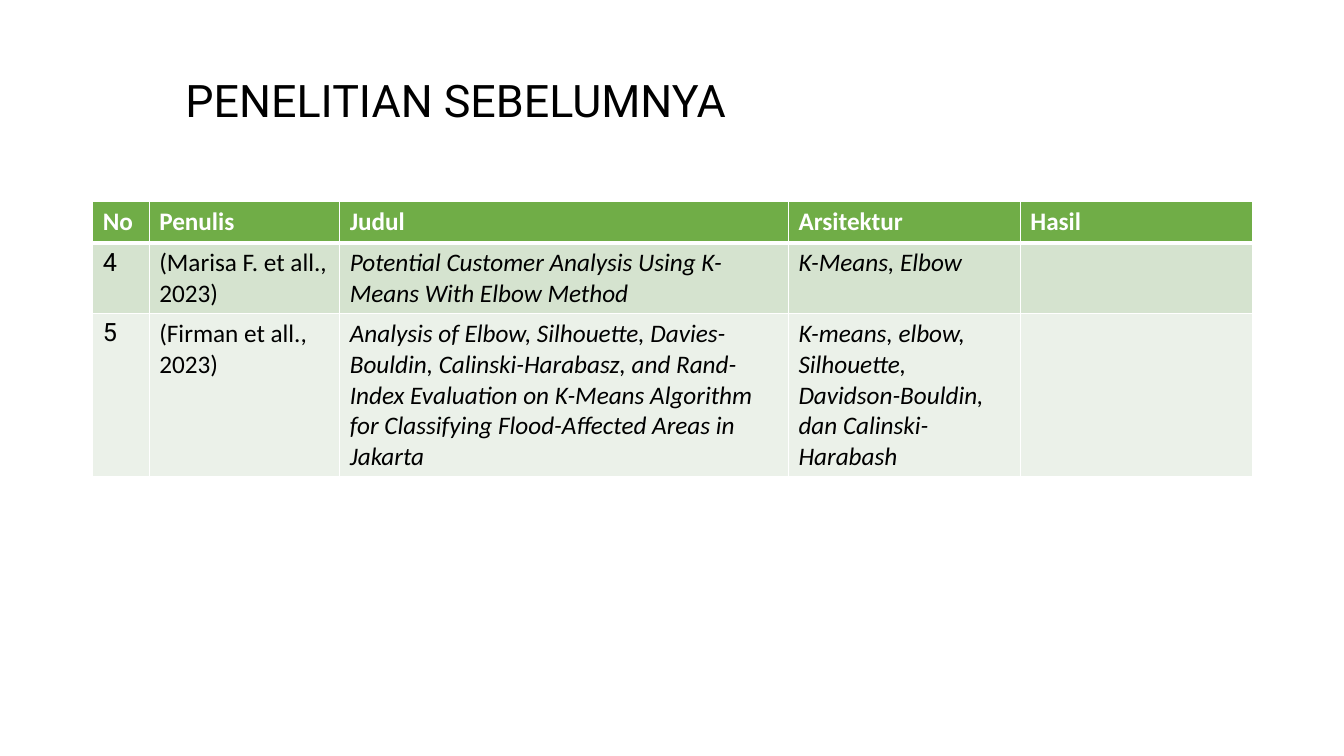
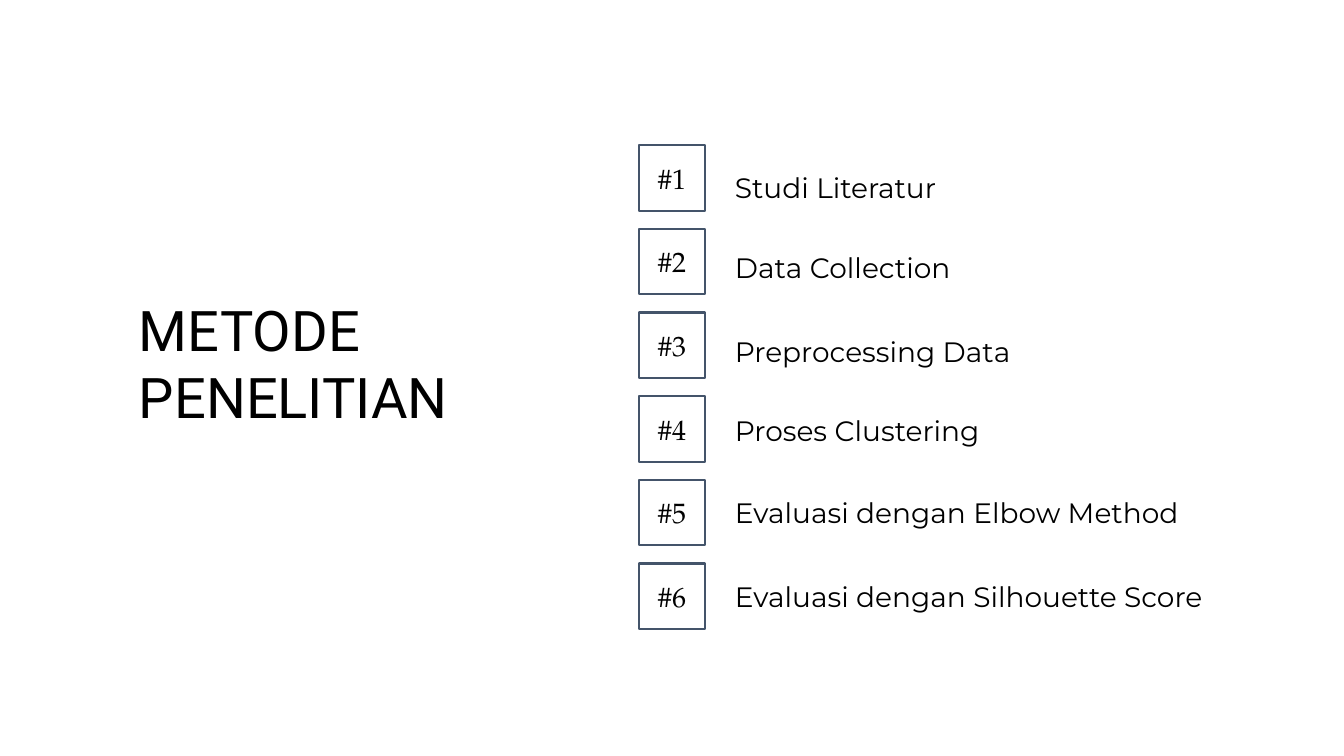
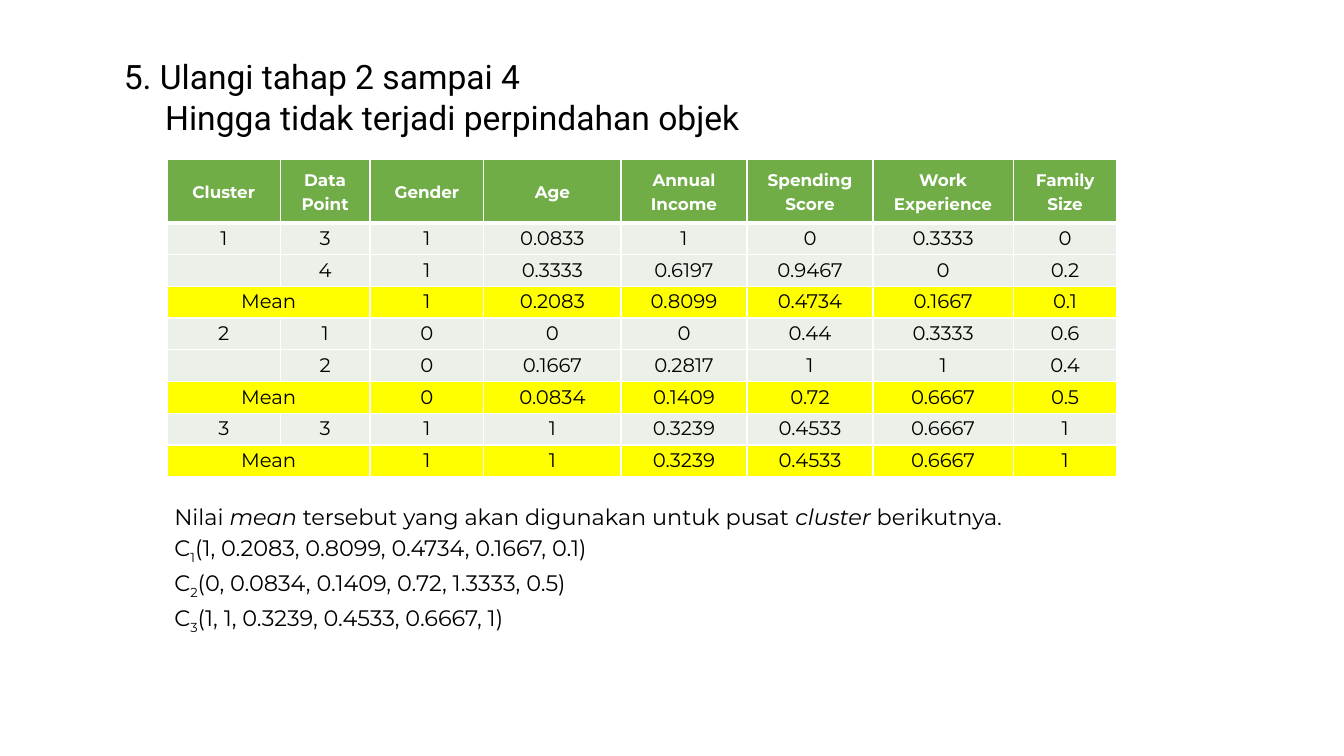
"""Build three slides on earlier research, research method and cluster means."""
from lxml import etree
from pptx import Presentation
from pptx import util as u
from pptx.dml.color import RGBColor
from pptx.enum import shapes, text
from pptx.oxml.ns import qn

BLACK, WHITE, GREEN, NAVY = "000000", "FFFFFF", "70AD47", "44546A"
SAGE, PALE, YELLOW = "D5E3CF", "EBF1E9", "FFFF00"
TITLE_FONT, BODY_FONT, TABLE_FONT, BADGE_FONT = "Roboto", "Montserrat", "Calibri", "TeX Gyre Pagella"


def write(para, spans, font, size, color=BLACK, bold=False, indent=0, **layout):
    """Fill a paragraph with (words, mark) spans; marks are italic, sub or empty."""
    for key, value in layout.items():
        setattr(para, key, value)
    if indent:
        para._p.get_or_add_pPr().set("marL", str(u.Inches(indent)))
    for words, mark in spans:
        span = para.add_run()
        span.text = words
        look = {"name": font, "size": u.Pt(size), "bold": bold, "italic": mark == "italic"}
        for key, value in look.items():
            setattr(span.font, key, value)
        span.font.color.rgb = RGBColor.from_string(color)
        if mark == "sub":
            span.font._element.set("baseline", "-25000")


def add_text(page, area, lines, font, size, indents=None, **layout):
    """Add a wrapping text box with one paragraph for each list of spans."""
    frame = page.shapes.add_textbox(*map(u.Inches, area)).text_frame
    frame.word_wrap = True
    for index, spans in enumerate(lines):
        para = frame.add_paragraph() if index else frame.paragraphs[0]
        write(para, spans, font, size, indent=indents[index] if indents else 0, **layout)
    return frame


deck = Presentation()
deck.slide_width, deck.slide_height = u.Inches(13.33), u.Inches(7.5)
research, method, means = [deck.slides.add_slide(deck.slide_layouts[6]) for _ in range(3)]

titles = [
    (research, (1.74, 0.67, 5.65, 0.64), 32, ["PENELITIAN SEBELUMNYA"], [0]),
    (method, (1.28, 2.88, 4.48, 1.45), 40, ["METODE PENELITIAN"], [0]),
    (means, (1.13, 0.51, 11.94, 0.91), 24,
     ["5. Ulangi tahap 2 sampai 4", "Hingga tidak terjadi perpindahan objek"], [0, 0.41]),
]
for page, area, size, lines, indents in titles:
    add_text(page, area, [[(line, "")] for line in lines], TITLE_FONT, size, indents)

research_rows = [
    ["No", "Penulis", "Judul", "Arsitektur", "Hasil"],
    ["4", "(Marisa F. et all., 2023)", "Potential Customer Analysis Using K-Means With Elbow Method",
     "K-Means, Elbow", ""],
    ["5", "(Firman et all., 2023)",
     "Analysis of Elbow, Silhouette, Davies-Bouldin, Calinski-Harabasz, and Rand-Index Evaluation "
     "on K-Means Algorithm for Classifying Flood-Affected Areas in Jakarta",
     "K-means, elbow, Silhouette, Davidson-Bouldin, dan Calinski-Harabash", ""],
]
mean_rows = [
    ["Cluster", "Data Point", "Gender", "Age", "Annual Income", "Spending Score",
     "Work Experience", "Family Size"],
    ["1", "3", "1", "0.0833", "1", "0", "0.3333", "0"],
    ["", "4", "1", "0.3333", "0.6197", "0.9467", "0", "0.2"],
    ["Mean", "", "1", "0.2083", "0.8099", "0.4734", "0.1667", "0.1"],
    ["2", "1", "0", "0", "0", "0.44", "0.3333", "0.6"],
    ["", "2", "0", "0.1667", "0.2817", "1", "1", "0.4"],
    ["Mean", "", "0", "0.0834", "0.1409", "0.72", "0.6667", "0.5"],
    ["3", "3", "1", "1", "0.3239", "0.4533", "0.6667", "1"],
    ["Mean", "", "1", "1", "0.3239", "0.4533", "0.6667", "1"],
]
tables = [
    {"page": research, "at": (0.92, 2), "rows": research_rows, "widths": [0.56, 1.89, 4.45, 2.3, 2.3],
     "heights": [0.41, 0.7, 1.62], "fills": [GREEN, SAGE, PALE], "sizes": (18, 18),
     "head": TABLE_FONT, "fonts": [TITLE_FONT] + [TABLE_FONT] * 4,
     "marks": ["", "", "italic", "italic", ""], "margins": (0.1, 0.05), "layout": {}},
    {"page": means, "at": (1.66, 1.58), "rows": mean_rows,
     "widths": [1.12, 0.89, 1.13, 1.36, 1.25, 1.25, 1.39, 1.03], "heights": [0.63] + [0.315] * 8,
     "fills": [GREEN] + [YELLOW if row[0] == "Mean" else PALE for row in mean_rows[1:]],
     "sizes": (12, 14), "head": BODY_FONT, "fonts": [BODY_FONT] * 8, "marks": [""] * 8,
     "margins": (0.07, 0),
     "layout": {"alignment": text.PP_ALIGN.CENTER, "line_spacing": 1.15, "space_after": u.Pt(8)}},
]
for plan in tables:
    rows, widths, heights = plan["rows"], plan["widths"], plan["heights"]
    area = (*plan["at"], sum(widths), sum(heights))
    table = plan["page"].shapes.add_table(len(rows), len(widths), *map(u.Inches, area)).table
    for column, width in zip(table.columns, widths):
        column.width = u.Inches(width)
    for r, row in enumerate(rows):
        table.rows[r].height = u.Inches(heights[r])
        for c, words in enumerate(row):
            cell = table.cell(r, c)
            side, edge = map(u.Inches, plan["margins"])
            cell.margin_left = cell.margin_right = side
            cell.margin_top = cell.margin_bottom = edge
            for border in ("lnL", "lnR", "lnT", "lnB"):
                thick = (r, border) in ((0, "lnB"), (1, "lnT"))
                line = etree.SubElement(cell._tc.get_or_add_tcPr(), qn("a:" + border),
                                        w=str(u.Pt(3 if thick else 1)))
                paint = etree.SubElement(line, qn("a:solidFill"))
                etree.SubElement(paint, qn("a:srgbClr"), val=WHITE)
            cell.fill.solid()
            cell.fill.fore_color.rgb = RGBColor.from_string(plan["fills"][r])
            para = cell.text_frame.paragraphs[0]
            if r == 0:
                cell.vertical_anchor = text.MSO_ANCHOR.MIDDLE
                write(para, [(words, "")], plan["head"], plan["sizes"][0], WHITE, True, **plan["layout"])
            elif words:
                write(para, [(words, plan["marks"][c])], plan["fonts"][c], plan["sizes"][1],
                      **plan["layout"])
        if row[0] == "Mean":
            table.cell(r, 0).merge(table.cell(r, 1))

steps = [
    ("Studi Literatur", 1.34), ("Data Collection", 2.14), ("Preprocessing Data", 2.97),
    ("Proses Clustering", 3.75), ("Evaluasi dengan Elbow Method", 4.57),
    ("Evaluasi dengan Silhouette Score", 5.4),
]
for index, (step, top) in enumerate(steps):
    area = (6.34, 1.44 + 0.83 * index, 0.65, 0.65)
    badge = method.shapes.add_shape(shapes.MSO_SHAPE.RECTANGLE, *map(u.Inches, area))
    badge.shadow.inherit = False
    badge.fill.solid()
    badge.fill.fore_color.rgb = RGBColor.from_string(WHITE)
    badge.line.color.rgb = RGBColor.from_string(NAVY)
    badge.line.width = u.Pt(1.5)
    frame = badge.text_frame
    frame.vertical_anchor = text.MSO_ANCHOR.MIDDLE
    for side in ("left", "right", "top", "bottom"):
        setattr(frame, "margin_" + side, u.Inches(0.1))
    write(frame.paragraphs[0], [(f"#{index + 1}", "")], BADGE_FONT, 20,
          alignment=text.PP_ALIGN.CENTER)
    add_text(method, (6.69, top, 5.75, 0.65), [[(step, "")]], BODY_FONT, 20, [0.5],
             line_spacing=1.9, space_before=u.Pt(5))

centres = [
    "(1, 0.2083, 0.8099, 0.4734, 0.1667, 0.1)",
    "(0, 0.0834, 0.1409, 0.72, 1.3333, 0.5)",
    "(1, 1, 0.3239, 0.4533, 0.6667, 1)",
]
notes = [[("Nilai ", ""), ("mean ", "italic"), ("tersebut yang akan digunakan untuk pusat ", ""),
          ("cluster ", "italic"), ("berikutnya.", "")]]
notes += [[("C", ""), (str(number), "sub"), (centre, "")] for number, centre in enumerate(centres, 1)]
add_text(means, (1.13, 4.9, 9.95, 1.32), notes, BODY_FONT, 16, [0.5] * 4,
         alignment=text.PP_ALIGN.JUSTIFY, line_spacing=1.15)

deck.save("out.pptx")
